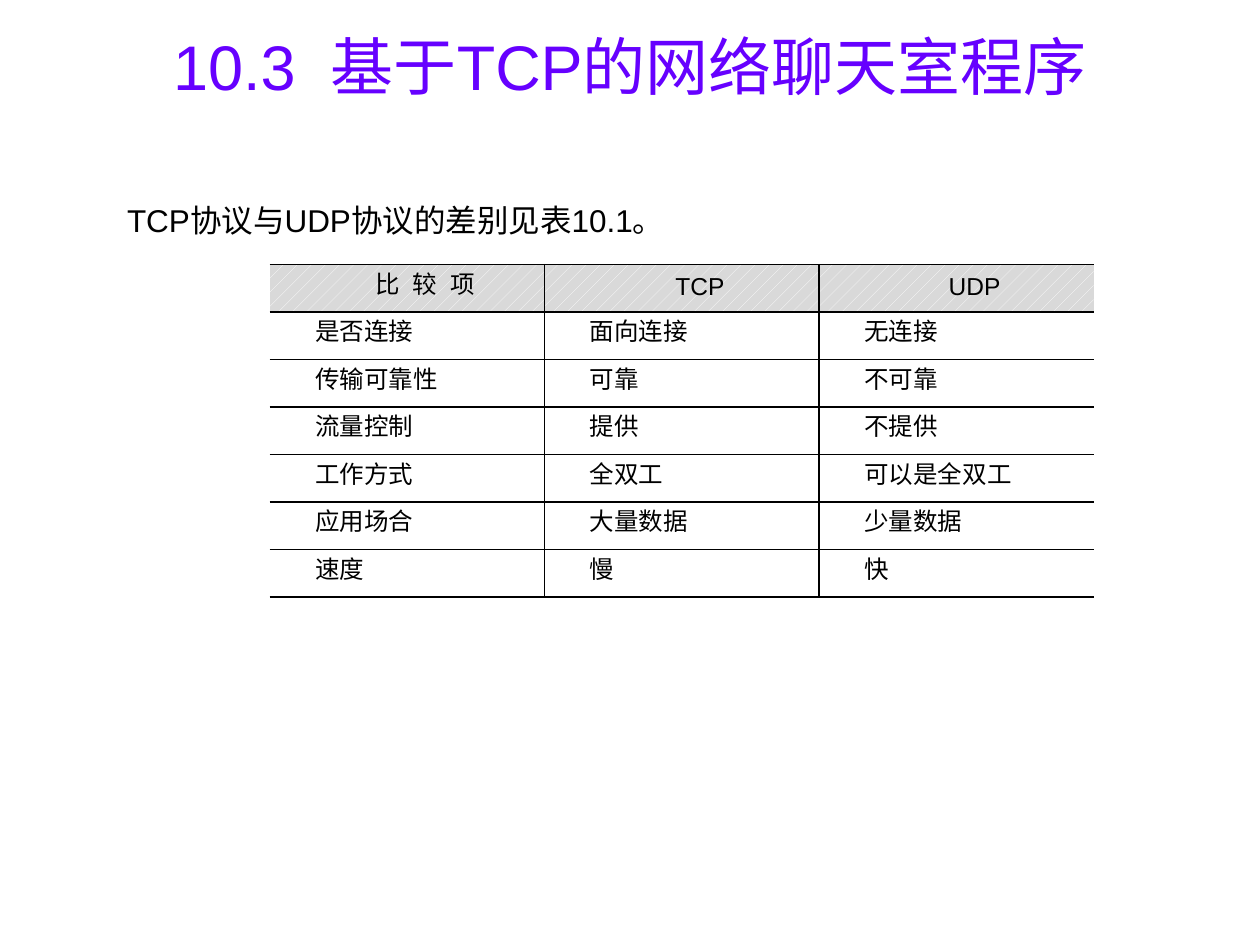
from lxml.etree import SubElement
from pptx import Presentation
from pptx.dml.color import RGBColor
from pptx.enum.dml import MSO_PATTERN
from pptx.enum.text import MSO_ANCHOR, MSO_AUTO_SIZE, PP_ALIGN
from pptx.oxml.ns import qn
from pptx.util import Inches, Pt


def add_run(paragraph, text, size, color, font="Arial", spacing=0):
    run = paragraph.add_run()
    run.text = text
    run.font.size = Pt(size)
    run.font.name = font
    run.font.color.rgb = RGBColor.from_string(color)
    if spacing:
        run.font._element.set("spc", str(spacing))


def add_border(cell, side, visible):
    properties = cell._tc.get_or_add_tcPr()
    line = SubElement(properties, qn(f"a:ln{side}"), w=str(Pt(1)))
    if visible:
        fill = SubElement(line, qn("a:solidFill"))
        SubElement(fill, qn("a:srgbClr"), val="000000")
    else:
        SubElement(line, qn("a:noFill"))


prs = Presentation()
prs.slide_width, prs.slide_height = Inches(10), Inches(7.5)
slide = prs.slides.add_slide(prs.slide_layouts[5])

# Title, with a widened space after the section number
title = slide.shapes.title
title.left, title.top = Inches(0.33), Inches(0.05)
title.width, title.height = Inches(9.34), Inches(0.94)
title.text_frame.auto_size = MSO_AUTO_SIZE.NONE
title.text_frame.vertical_anchor = MSO_ANCHOR.MIDDLE
heading = title.text_frame.paragraphs[0]
heading.alignment = PP_ALIGN.CENTER
for text, spacing in [("10.3", 0), (" ", 1000), ("基于TCP的网络聊天室程序", 0)]:
    add_run(heading, text, 36, "6600FF", spacing=spacing)

# Introductory sentence
intro = slide.shapes.add_textbox(Inches(0.91), Inches(1.55), Inches(4.51), Inches(0.4))
intro.text_frame.word_wrap = True
intro.text_frame.auto_size = MSO_AUTO_SIZE.SHAPE_TO_FIT_TEXT
add_run(intro.text_frame.paragraphs[0], "TCP协议与UDP协议的差别见表10.1。", 18, "000000")

# Comparison of TCP and UDP
comparison = [
    ("比 较 项", "TCP", "UDP"),
    ("是否连接", "面向连接", "无连接"),
    ("传输可靠性", "可靠", "不可靠"),
    ("流量控制", "提供", "不提供"),
    ("工作方式", "全双工", "可以是全双工"),
    ("应用场合", "大量数据", "少量数据"),
    ("速度", "慢", "快"),
]
last_column = len(comparison[0]) - 1
table = slide.shapes.add_table(
    len(comparison), len(comparison[0]),
    Inches(2.14), Inches(2.1), Inches(6.54), Inches(2.64),
).table
table.first_row = table.horz_banding = False

for row, values in enumerate(comparison):
    is_header = row == 0
    for column, value in enumerate(values):
        cell = table.cell(row, column)
        cell.margin_left = cell.margin_right = Inches(0.07)
        cell.margin_top = cell.margin_bottom = 0
        cell.vertical_anchor = MSO_ANCHOR.MIDDLE

        # The outer left and right edges stay open
        for side, visible in [("L", column > 0), ("R", column < last_column),
                              ("T", True), ("B", True)]:
            add_border(cell, side, visible)

        if is_header:
            cell.fill.patterned()
            cell.fill.pattern = MSO_PATTERN.PERCENT_10
            cell.fill.fore_color.rgb = RGBColor.from_string("FFFFFF")
            cell.fill.back_color.rgb = RGBColor.from_string("D9D9D9")
        else:
            cell.fill.background()

        entry = cell.text_frame.paragraphs[0]
        entry.alignment = PP_ALIGN.CENTER if is_header else PP_ALIGN.JUSTIFY
        entry.line_spacing = Pt(14)
        entry._p.get_or_add_pPr().set("indent", str(Inches(0.29)))
        add_run(entry, value, 14, "000000",
                font="Arial" if is_header else "Times New Roman",
                spacing=200 if is_header and column == 0 else 0)

prs.save("out.pptx")
